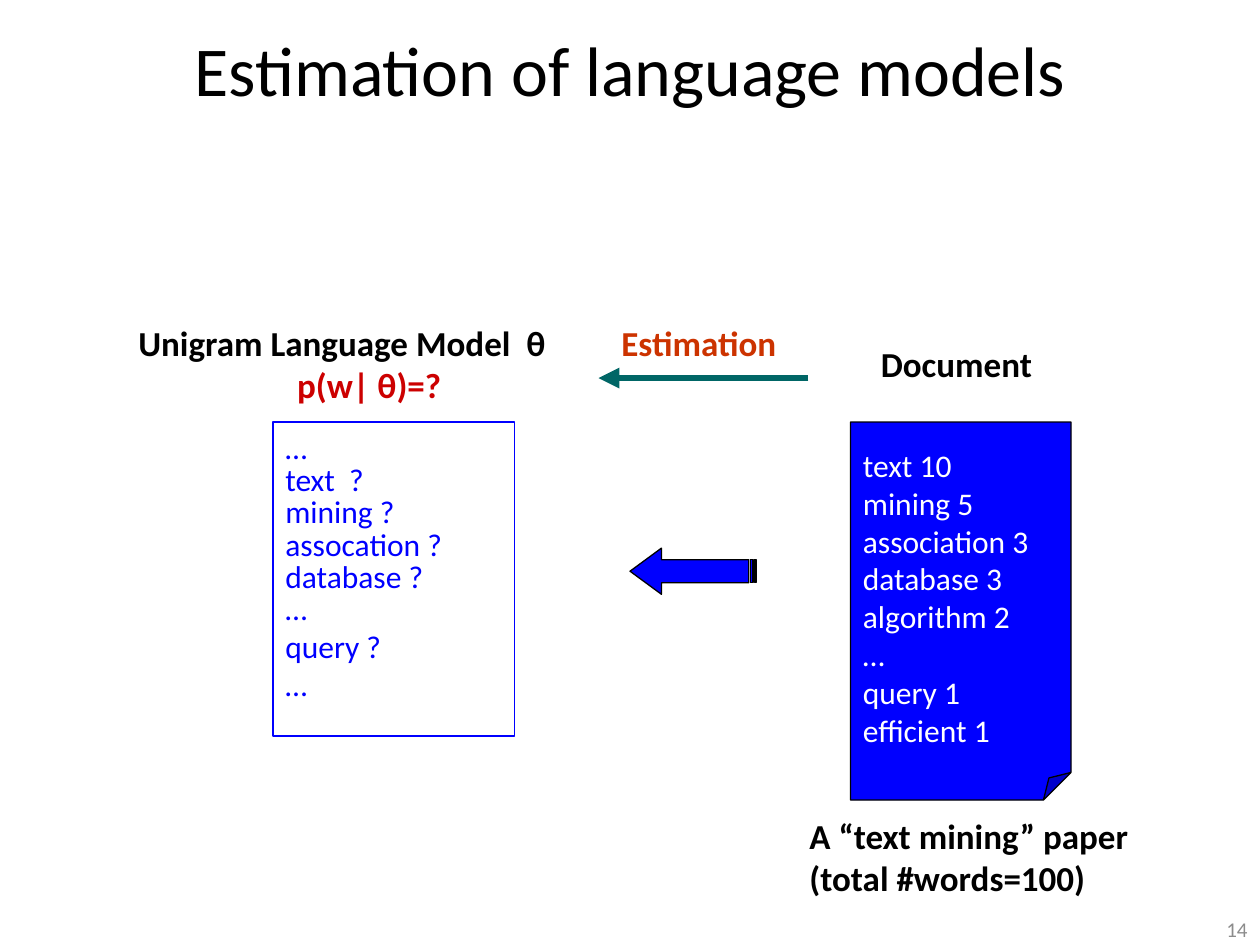
from pptx import Presentation
from pptx.dml.color import RGBColor
from pptx.enum.shapes import MSO_CONNECTOR, MSO_SHAPE
from pptx.enum.text import MSO_ANCHOR, PP_ALIGN
from pptx.oxml.ns import qn
from pptx.util import Inches, Pt
from lxml.etree import SubElement

COLORS = {
    "black": "000000", "white": "FFFFFF", "gray": "8C8C8C", "blue": "0000FF",
    "red": "CC0000", "orange": "CC3300", "teal": "006666",
}

deck = Presentation()
deck.slide_width, deck.slide_height = Inches(10), Inches(7.5)
COL, ROW = deck.slide_width / 120, deck.slide_height / 90
slide = deck.slides.add_slide(deck.slide_layouts[6])


def place(col, row, cols, rows):
    return round(col * COL), round(row * ROW), round(cols * COL), round(rows * ROW)


def write(holder, lines, size, color, bold=False, align=PP_ALIGN.LEFT,
          anchor=MSO_ANCHOR.TOP, wrap=False):
    frame = holder.text_frame
    frame.text = "\n".join(lines)
    frame.word_wrap = wrap
    frame.vertical_anchor = anchor
    for paragraph in frame.paragraphs:
        paragraph.alignment = align
        for run in paragraph.runs:
            run.font.name = "Calibri"
            run.font.size = Pt(size)
            run.font.bold = bold
            run.font.color.rgb = RGBColor.from_string(COLORS[color])
    return frame.paragraphs


title = slide.shapes.add_textbox(*place(0, 0, 120, 13))
write(title, ["Estimation of language models"], 40, "black",
      align=PP_ALIGN.CENTER, anchor=MSO_ANCHOR.MIDDLE, wrap=True)
page_number = slide.shapes.add_textbox(*place(92, 87, 28, 3))
write(page_number, ["14"], 12, "gray",
      align=PP_ALIGN.RIGHT, anchor=MSO_ANCHOR.MIDDLE, wrap=True)

labels = [
    ((82.7, 32, 17.2, 5.2), ["Document"], "black"),
    ((58, 30, 17.9, 5.2), ["Estimation"], "orange"),
    ((75.9, 77, 33, 9.3), ["A “text mining” paper", "(total #words=100)"], "black"),
]
for cell, lines, color in labels:
    write(slide.shapes.add_textbox(*place(*cell)), lines, 20, color, bold=True)

model_heading = slide.shapes.add_textbox(*place(12, 30, 42.5, 9.3))
_, probability = write(
    model_heading, ["Unigram Language Model  θ", "p(w| θ)=?"], 20, "black", bold=True)
probability.runs[0].font.color.rgb = RGBColor.from_string(COLORS["red"])
probability._p.get_or_add_pPr().set("marL", str(Inches(1.26)))

panels = [
    (MSO_SHAPE.FOLDED_CORNER, (81, 40.2, 21, 36), "blue", "black"),
    (MSO_SHAPE.RECTANGLE, (26, 40.2, 23, 29.9), None, "blue"),
    (MSO_SHAPE.STRIPED_RIGHT_ARROW, (60, 52.2, 12, 4.4), "blue", "black"),
]
drawn = []
for preset, cell, fill, line in panels:
    panel = slide.shapes.add_shape(preset, *place(*cell))
    panel.shadow.inherit = False
    if fill:
        panel.fill.solid()
        panel.fill.fore_color.rgb = RGBColor.from_string(COLORS[fill])
    else:
        panel.fill.background()
    panel.line.color.rgb = RGBColor.from_string(COLORS[line])
    panel.line.width = Pt(0.75)
    drawn.append(panel)
document, model, block_arrow = drawn

corner = document._element.spPr.find(qn("a:prstGeom"))
corner.set("prst", "foldedCorner")
SubElement(corner.find(qn("a:avLst")), qn("a:gd"), name="adj", fmla="val 12500")
write(document, ["text 10", "mining 5", "association 3", "database 3", "algorithm 2",
                 "…", "query 1", "efficient 1"],
      18, "white", anchor=MSO_ANCHOR.MIDDLE, wrap=True)
model_lines = write(model, ["…", "text  ?", "mining ?", "assocation ?", "database ?",
                            "…", "query ?", "…"], 18, "blue", wrap=True)
for paragraph in model_lines[1:6]:
    paragraph.line_spacing = 0.85

block_arrow.rotation = 180
block_arrow.adjustments[0] = 0.5
block_arrow.adjustments[1] = 0.68

start_x, y, end_x, _ = place(77, 36, 57, 0)
estimation_arrow = slide.shapes.add_connector(MSO_CONNECTOR.STRAIGHT, start_x, y, end_x, y)
estimation_arrow.line.color.rgb = RGBColor.from_string(COLORS["teal"])
estimation_arrow.line.width = Pt(4)
SubElement(estimation_arrow.line._get_or_add_ln(), qn("a:tailEnd"), type="triangle")
SubElement(estimation_arrow._element.spPr, qn("a:effectLst"))

deck.save("out.pptx")
